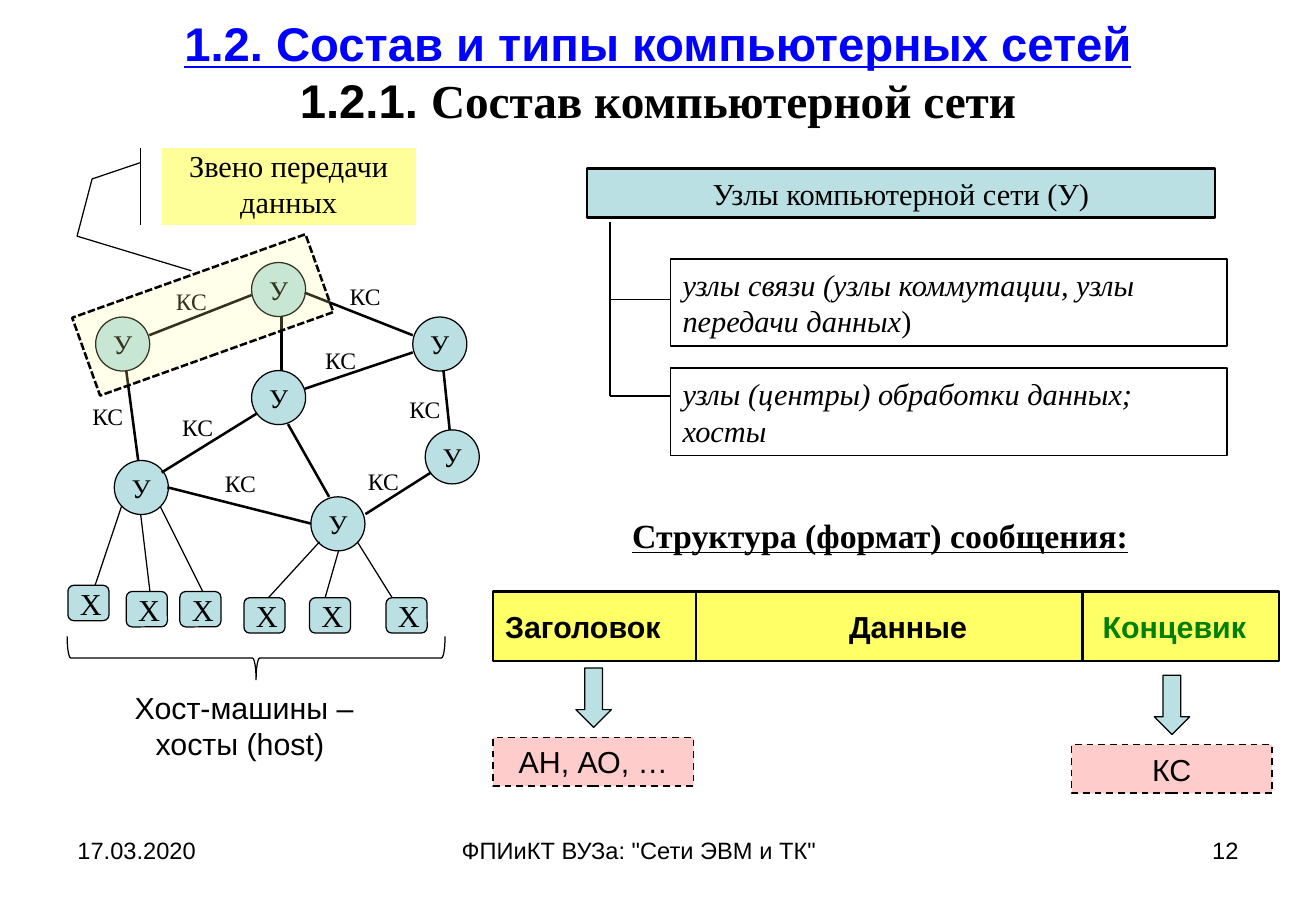
from lxml.etree import SubElement
from pptx import Presentation
from pptx.dml.color import RGBColor
from pptx.enum.dml import MSO_LINE as Dash
from pptx.enum.shapes import MSO_CONNECTOR as Connector, MSO_SHAPE as Kind
from pptx.enum.text import MSO_ANCHOR as Anchor, PP_ALIGN as Align
from pptx.oxml.ns import qn
from pptx.util import Cm, Pt

BLACK, BLUE, GREEN, TEAL = "000000", "0000FF", "008000", "BBE0E3"
YELLOW, PALE, PINK = "FFFF66", "FFFF99", "FFCCCC"
SANS, SERIF = "Arial", "Times New Roman"


def paint(target, color):
    """Give a fill or a font colour holder a solid hex colour."""
    if hasattr(target, "solid"):
        target.solid()
        target = target.fore_color
    target.rgb = RGBColor.from_string(color)


def add_span(para, text, size=18, name=SERIF, color=BLACK, **font):
    """Add a formatted run to a paragraph."""
    span = para.add_run()
    span.text = text
    for key, value in dict(size=Pt(size), name=name, **font).items():
        setattr(span.font, key, value)
    paint(span.font.color, color)


def write(shape, lines, align=Align.CENTER, anchor=Anchor.MIDDLE, margins=(0.25, 0.13, 0.25, 0.13), **font):
    """Fill a shape with paragraphs, each a list of (text, font changes)."""
    frame = shape.text_frame
    left, top, right, bottom = map(Cm, margins)
    layout = dict(word_wrap=True, vertical_anchor=anchor, margin_left=left,
                  margin_top=top, margin_right=right, margin_bottom=bottom)
    for key, value in layout.items():
        setattr(frame, key, value)
    for index, spans in enumerate(lines):
        para = frame.add_paragraph() if index else frame.paragraphs[0]
        para.alignment = align
        for text, changes in spans:
            add_span(para, text, **{**font, **changes})


def place(origin, area):
    """Shift a relative area in centimetres by its region's corner."""
    x, y, width, height = area
    return Cm(origin[0] + x), Cm(origin[1] + y), Cm(width), Cm(height)


def add_box(page, origin, area, kind=Kind.RECTANGLE, fill=None, weight=0.75, dash=None):
    """Add a flat preset shape with a black outline."""
    shape = page.shapes.add_shape(kind, *place(origin, area))
    shape.shadow.inherit = False
    if fill:
        paint(shape.fill, fill)
    else:
        shape.fill.background()
    paint(shape.line.fill, BLACK)
    shape.line.width = Pt(weight)
    if dash:
        shape.line.dash_style = dash
    return shape


def add_label(page, origin, area, lines, **style):
    """Add a plain text box."""
    write(page.shapes.add_textbox(*place(origin, area)), lines, **{"anchor": Anchor.TOP, **style})


def add_line(page, origin, ends, weight=0.75):
    """Add a straight black line between two relative points."""
    x1, y1, x2, y2 = ends
    left, top = origin
    line = page.shapes.add_connector(Connector.STRAIGHT, Cm(left + x1), Cm(top + y1), Cm(left + x2), Cm(top + y2))
    paint(line.line.fill, BLACK)
    line.line.width = Pt(weight)
    SubElement(line._element.spPr, qn("a:effectLst"))


def draw_title(page, origin):
    """Place the two-line heading in the title placeholder."""
    title = page.shapes.title
    title.left, title.top, title.width, title.height = place(origin, (0, 0, 24.77, 3.18))
    write(title, [[("1.2. Состав и типы компьютерных сетей", dict(color=BLUE, underline=True))]],
          size=28, name=SANS, bold=True)
    para = title.text_frame.paragraphs[0]
    para.add_line_break()
    add_span(para, "1.2.1. ", 28, SANS, bold=True)
    add_span(para, "Состав компьютерной сети", 28, bold=True)


def draw_node_types(page, origin):
    """Draw the tree of network node types."""
    header = add_box(page, origin, (0, 0, 13.13, 1.02), fill=TEAL, weight=1.5)
    write(header, [[("Узлы компьютерной сети (У)", {})]])
    types = [[("узлы связи (узлы коммутации, узлы передачи данных", dict(italic=True)), (")", {})],
             [("узлы (центры) обработки данных; хосты", dict(italic=True))]]
    trunk, branches = 0.48, (2.74, 4.75)
    add_line(page, origin, (trunk, 1.12, trunk, branches[-1]))
    for index, (spans, y) in enumerate(zip(types, branches)):
        add_line(page, origin, (trunk, y, 1.75, y))
        item = add_box(page, origin, (1.75, 1.88 + 2.29 * index, 11.63, 1.83), weight=1)
        write(item, [spans], align=Align.LEFT)


def draw_nodes(page, origin):
    """Draw the communication nodes and the channels between them."""
    nodes = [(0.58, 3.53), (3.84, 2.39), (0.97, 6.53), (3.84, 4.65), (7.21, 3.53), (5.08, 7.29), (7.47, 5.89)]
    channels = [(1.7, 3.91, 3.84, 3.07), (4.95, 3.02, 7.21, 3.91), (1.22, 4.65, 1.47, 6.53),
                (1.96, 6.78, 3.96, 5.54), (4.47, 3.53, 4.47, 4.65), (4.6, 5.77, 5.46, 7.29),
                (7.85, 4.65, 7.98, 5.89), (6.22, 7.65, 7.59, 6.78), (4.95, 5.03, 7.21, 4.27),
                (2.08, 7.09, 5.08, 7.85)]
    names = [(2.21, 2.87), (2.34, 5.51), (5.84, 2.77), (6.22, 6.63),
             (5.33, 4.11), (0.46, 5.28), (3.23, 6.68), (7.09, 5.13)]
    for x, y in nodes:
        node = add_box(page, origin, (x, y, 1.13, 1.13), Kind.OVAL, TEAL)
        write(node, [[("У", {})]], size=16, margins=(0, 0, 0, 0))
    for ends in channels:
        add_line(page, origin, ends, 1.5)
    for x, y in names:
        add_label(page, origin, (x, y, 0.86, 0.66), [[("КС", {})]], size=14,
                  align=Align.LEFT, margins=(0.05, 0.03, 0.05, 0.03))


def draw_data_link(page, origin):
    """Mark one data link with a tilted translucent frame and a callout."""
    frame = add_box(page, origin, (0.23, 2.62, 5.18, 1.73), fill=PALE, weight=1.5, dash=Dash.SQUARE_DOT)
    frame.rotation = -19.7
    color = frame._element.spPr.find(qn("a:solidFill"))[0]
    SubElement(color, qn("a:alpha"), val="20000")
    callout = add_box(page, origin, (1.96, 0, 5.31, 1.6), Kind.LINE_CALLOUT_3_ACCENT_BAR, PALE)
    for index, value in enumerate((0.188, -0.083, 0.402, -0.274, 1.15, -0.333, 1.602, 0.117)):
        callout.adjustments[index] = round(value, 3)
    write(callout, [[("Звено передачи данных", {})]], margins=(0.25, 0, 0.25, 0.13))


def draw_hosts(page, origin):
    """Draw the hosts, their links, the brace and its caption."""
    links = [(1.12, 7.49, 0.48, 9.4), (1.52, 7.65, 1.73, 9.4), (1.93, 7.49, 2.82, 9.27),
             (5.26, 8.23, 4.19, 9.4), (5.66, 8.41, 5.31, 9.63), (6.05, 8.23, 6.78, 9.4)]
    hosts = [(0, 9.14), (1.22, 9.27), (2.34, 9.27), (3.68, 9.4), (5.05, 9.4), (6.65, 9.4)]
    for ends in links:
        add_line(page, origin, ends)
    for x, y in hosts:
        host = add_box(page, origin, (x, y, 0.86, 0.74), Kind.ROUNDED_RECTANGLE, TEAL)
        write(host, [[("Х", {})]], margins=(0.1, 0, 0, 0))
    add_box(page, origin, (3.48, 6.71, 0.91, 7.9), Kind.LEFT_BRACE).rotation = 270
    add_label(page, origin, (0.23, 11.18, 6.91, 1.8),
              [[("Хост-машины –", {})], [("хосты (host) ", {})]], name=SANS)


def draw_message(page, origin):
    """Draw the message format with its fields and their contents."""
    add_label(page, origin, (0, 0, 16.18, 1.07), [[("Структура (формат) сообщения:", {})]],
              size=20, bold=True, underline=True)
    x = 0
    for text, width, indent, color in (("Заголовок", 4.24, 0.25, BLACK), ("Данные", 8.08, 3.2, BLACK),
                                       ("Концевик", 4.11, 0.42, GREEN)):
        field = add_box(page, origin, (x, 1.73, width, 1.45), fill=YELLOW, weight=1.5)
        write(field, [[(text, {})]], align=Align.LEFT, margins=(indent, 0.13, 0, 0.13),
              name=SANS, bold=True, color=color)
        x += width
    for text, x, y in (("АН, АО, …", 0, 4.78), ("КС", 12.09, 4.93)):
        content = add_box(page, origin, (x, y, 4.19, 1.02), fill=PINK, weight=1, dash=Dash.DASH)
        write(content, [[(text, {})]], name=SANS)
        add_box(page, origin, (x + 1.73, y - 1.45, 0.74, 1.24), Kind.DOWN_ARROW, TEAL)


def draw_footer(page, origin):
    """Place the date, the course name and the page number."""
    for text, x, width, align in (("17.03.2020", 0, 6.43, Align.LEFT),
                                  ('ФПИиКТ ВУЗа: "Сети ЭВМ и ТК"', 8.03, 8.71, Align.LEFT),
                                  ("12", 18.34, 6.43, Align.RIGHT)):
        add_label(page, origin, (x, 0, width, 1.32), [[(text, {})]], align=align, size=14, name=SANS)


deck = Presentation()
deck.slide_width, deck.slide_height = Cm(27.51), Cm(19.05)
page = deck.slides.add_slide(deck.slide_layouts[5])
network = (1.42, 3.1)
draw_title(page, (1.37, -0.1))
draw_node_types(page, (12.27, 3.53))
draw_nodes(page, network)
draw_data_link(page, network)
draw_hosts(page, network)
draw_message(page, (10.31, 10.64))
draw_footer(page, (1.37, 17.35))
deck.save("out.pptx")
